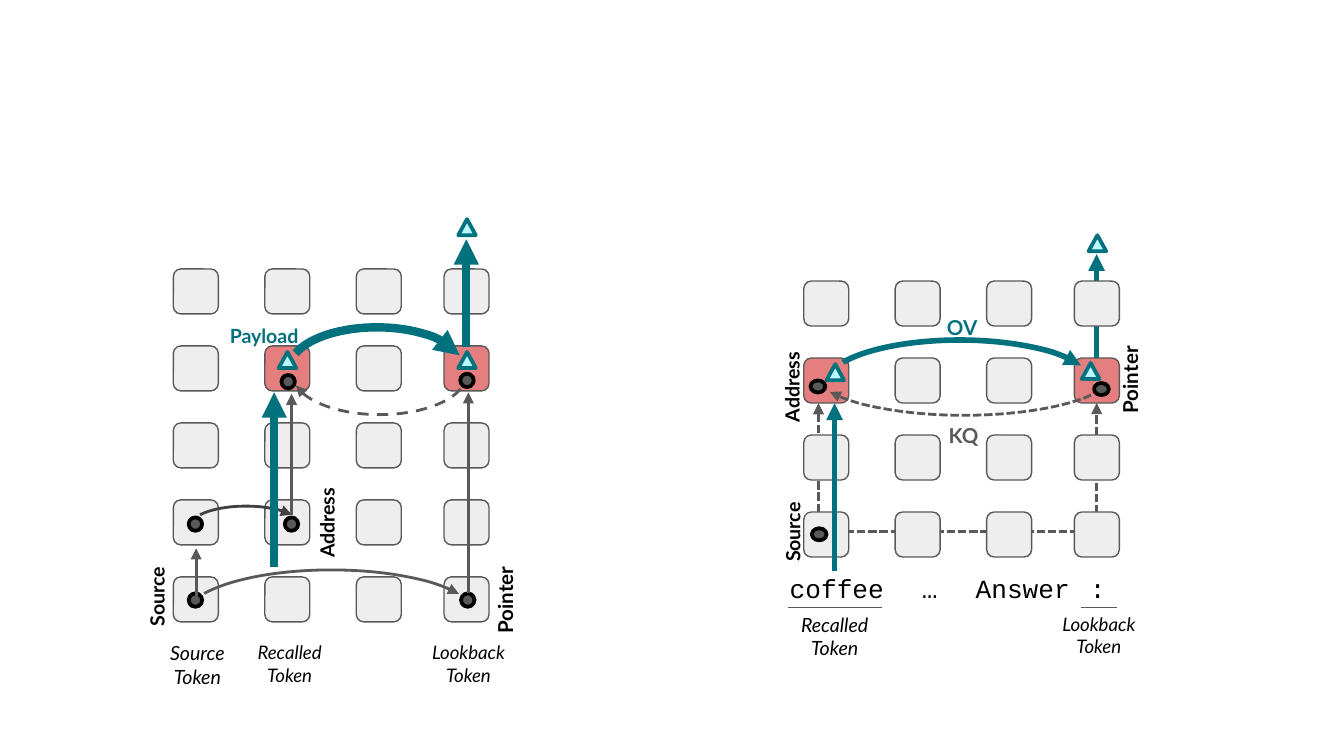
"""Build a slide with two token-grid diagrams of source, address, pointer and payload."""
from lxml.etree import SubElement
from pptx import Presentation
from pptx.dml.color import RGBColor
from pptx.enum.shapes import MSO_CONNECTOR, MSO_SHAPE
from pptx.enum.text import PP_ALIGN
from pptx.oxml.ns import qn
from pptx.util import Pt

TEAL = RGBColor(0x00, 0x71, 0x7D)
AQUA = RGBColor(0xBA, 0xF8, 0xFF)
GRAY = RGBColor(0x59, 0x59, 0x59)
DARK = RGBColor(0x40, 0x40, 0x40)
PALE = RGBColor(0xEE, 0xEE, 0xEE)
RED = RGBColor(0xCD, 0x00, 0x00)
BLACK = RGBColor(0x00, 0x00, 0x00)

CELL = 24.1
COLS = (0, 49, 98, 145)
STEP = 41.25
GRIDS = [
    dict(left=92.9, top=144.1, rows=5, red=[(1, 1), (1, 3)]),
    dict(left=430.6, top=150.6, rows=4, red=[(1, 0), (1, 3)]),
]

BACK = [
    ((587.5, 192), (587.5, 136.1), dict(color=TEAL, width=3)),
    ((438.5, 274.3), (438.5, 216), dict(dash="sysDash")),
    ((447.1, 285), (587.5, 216), dict(dash="sysDash", bent=True)),
]
FRONT = [
    ((447.1, 306), (447.1, 216), dict(color=TEAL, width=3)),
    ((249.8, 185.8), (249.8, 128.2), dict(color=TEAL, width=4.5)),
    ((105.1, 322.6), (105.1, 293.8), {}),
    ((156.2, 275.8), (156.2, 211), {}),
    ((250.9, 317.5), (250.9, 210.2), {}),
    ((146.9, 303.8), (146.9, 210.2), dict(color=TEAL, width=4.5)),
    ((422, 325.4), (472.3, 325.4), dict(width=0.75, head=False)),
    ((578.9, 325.4), (598.3, 325.4), dict(width=0.75, head=False)),
]
ARCS = [
    ((492.5, 117.4, 47.5, 162.7), 90, (168.44, 48.67), dict(dash="sysDash")),
    ((490.3, 133.9, 47.5, 144), 270, (168.44, 48.67), dict(color=TEAL, width=3)),
    ((180, 150.5, 43.9, 93.6), 270, (168.31, 48.67), dict(color=TEAL, width=4.5)),
    ((181.4, 153.4, 43.9, 93.6), 90, (168.44, 49.2), dict(dash="dash")),
    ((151.9, 252, 51.1, 157.7), 270, (168.44, 47.7), {}),
    ((120.2, 252, 23, 61.2), 270, (171.37, 44.74), dict(color=DARK)),
]
DOTS = [
    ((7.9, 6.5), [(434.9, 283), (434.2, 203.8), (586.1, 205.2)]),
    ((7.2, 7.2), [(246.6, 200.2), (247, 317.9), (152.6, 277.2), (150.8, 200.9),
                  (101.1, 317.9), (101.1, 277.2)]),
]
WEDGE = (9.4, 8.6)
WEDGES = [(442.8, 195.1), (579.6, 194.4), (583.2, 126), (149.3, 188.6),
          (245.5, 188.6), (245.5, 117.4)]

ITAL = dict(italic=True)
BOLD = dict(bold=True)
SIDE = dict(bold=True, turn=270)
LABELS = [
    ("Recalled Token", (422, 328.3, 50.4, 25.2), ITAL),
    ("Lookback Token", (563.8, 328.3, 49.7, 24.5), dict(ITAL, size=10)),
    ("Address", (403.9, 200.9, 41, 13), SIDE),
    ("Source", (408.2, 278.6, 33.1, 13), SIDE),
    ("Pointer", (587.5, 196.6, 36, 13.7), dict(SIDE, size=11)),
    ("OV", (497.5, 168.5, 36, 13.7), dict(BOLD, size=11, color=TEAL)),
    ("KQ", (498.2, 226.8, 36, 13.7), dict(BOLD, size=11, color=GRAY)),
    ("Source\nToken", (80.6, 343.4, 50.4, 25.2), ITAL),
    ("Recalled\nToken", (130.3, 343.4, 49.7, 24.5), dict(ITAL, size=10)),
    ("Lookback Token", (226.1, 343.4, 49.7, 24.5), dict(ITAL, size=10)),
    ("Address", (154.8, 273.6, 41, 13), SIDE),
    ("Source", (67.7, 313.2, 33.1, 13), SIDE),
    ("Pointer", (252.7, 314.6, 36, 13.7), dict(SIDE, size=11)),
    ("Payload", (121, 173.5, 41, 13), dict(BOLD, color=TEAL)),
    ("coffee\t…\tAnswer\t:", (423.1, 306.7, 189, 17),
     dict(size=14, font="Courier New", align=PP_ALIGN.LEFT, tabs=(70.8, 99.6, 160.8))),
]


def stroke(item, color=GRAY, width=1.5, dash=None, head=True):
    item.line.color.rgb = color
    item.line.width = Pt(width)
    line = item.element.spPr.find(qn("a:ln"))
    if dash:
        SubElement(line, qn("a:prstDash"), val=dash)
    if head:
        SubElement(line, qn("a:tailEnd"), type="triangle")


def link(slide, start, end, bent=False, **style):
    kind = MSO_CONNECTOR.ELBOW if bent else MSO_CONNECTOR.STRAIGHT
    item = slide.shapes.add_connector(kind, *map(Pt, start + end))
    stroke(item, **style)
    if bent:
        item.element.spPr.find(qn("a:prstGeom")).set("prst", "bentConnector2")
    SubElement(item.element.spPr, qn("a:effectLst"))


def draw(slide, kind, box, fill=None, alpha=None, **style):
    item = slide.shapes.add_shape(kind, *map(Pt, box))
    item.shadow.inherit = False
    if fill is None:
        item.fill.background()
    else:
        item.fill.solid()
        item.fill.fore_color.rgb = fill
    if alpha:
        tint = item.element.spPr.find(".//" + qn("a:srgbClr"))
        SubElement(tint, qn("a:alpha"), val=str(alpha * 1000))
    stroke(item, **style)
    return item


def label(slide, text, box, size=10.5, font="Lato", color=BLACK, bold=False,
          italic=False, align=PP_ALIGN.CENTER, turn=0, tabs=()):
    item = slide.shapes.add_textbox(*map(Pt, box))
    item.rotation = turn
    frame = item.text_frame
    frame.word_wrap = True
    frame.margin_left = frame.margin_right = frame.margin_top = frame.margin_bottom = 0
    frame.text = text
    for para in frame.paragraphs:
        para.alignment = align
        if tabs:
            stops = SubElement(para._p.get_or_add_pPr(), qn("a:tabLst"))
            for stop in tabs:
                SubElement(stops, qn("a:tab"), pos=str(Pt(stop)), algn="l")
        for run in para.runs:
            face = run.font
            face.name, face.size = font, Pt(size)
            face.bold, face.italic = bold, italic
            face.color.rgb = color


def grid(slide, left, top, rows, red):
    for row in range(rows):
        for col, shift in enumerate(COLS):
            hot = (row, col) in red
            box = (left + shift, top + row * STEP, CELL, CELL)
            draw(slide, MSO_SHAPE.ROUNDED_RECTANGLE, box, RED if hot else PALE,
                 50 if hot else None, width=0.75, head=False)


def main():
    deck = Presentation()
    deck.slide_width, deck.slide_height = Pt(720), Pt(405)
    slide = deck.slides.add_slide(deck.slide_layouts[6])
    for start, end, style in BACK:
        link(slide, start, end, **style)
    for plan in GRIDS:
        grid(slide, **plan)
    for size, spots in DOTS:
        for spot in spots:
            draw(slide, MSO_SHAPE.OVAL, spot + size, GRAY, color=BLACK, width=2, head=False)
    for spot in WEDGES:
        draw(slide, MSO_SHAPE.ISOSCELES_TRIANGLE, spot + WEDGE, AQUA,
             color=TEAL, width=2, head=False)
    for box, turn, ends, style in ARCS:
        arc = draw(slide, MSO_SHAPE.ARC, box, **style)
        arc.rotation = turn
        arc.adjustments[0], arc.adjustments[1] = ends
    for start, end, style in FRONT:
        link(slide, start, end, **style)
    for text, box, style in LABELS:
        label(slide, text, box, **style)
    deck.save("out.pptx")


if __name__ == "__main__":
    main()
